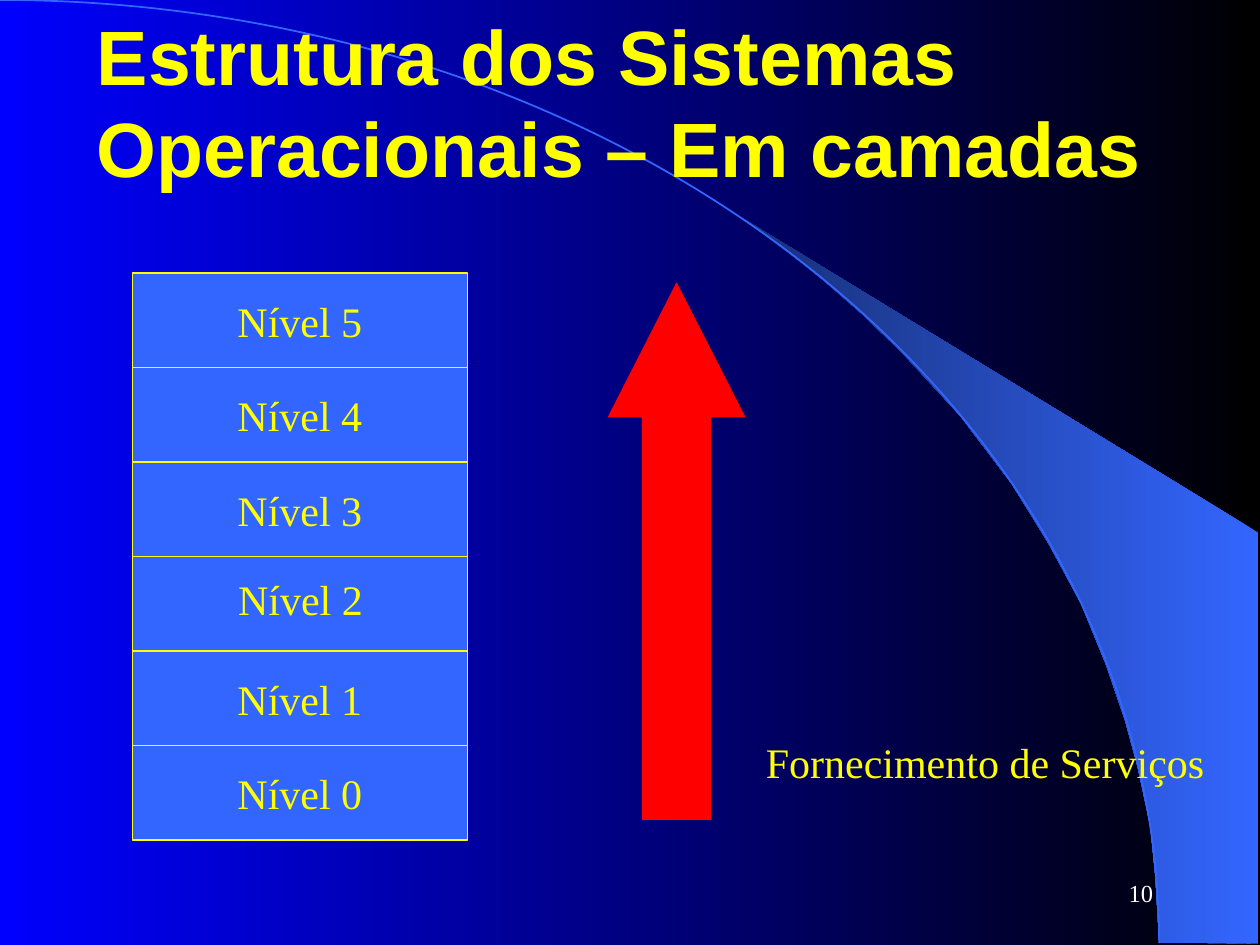
from pptx import Presentation
from pptx.dml.color import RGBColor
from pptx.enum.shapes import MSO_SHAPE as Preset
from pptx.enum.text import MSO_ANCHOR as Anchor, PP_ALIGN as Align
from pptx.util import Inches, Pt

BLACK = RGBColor(0x00, 0x00, 0x00)
WHITE = RGBColor(0xFF, 0xFF, 0xFF)
BLUE = RGBColor(0x00, 0x00, 0xFF)
SKY = RGBColor(0x33, 0x66, 0xFF)
NAVY = RGBColor(0x17, 0x2F, 0x75)
YELLOW = RGBColor(0xFF, 0xFF, 0x00)
RED = RGBColor(0xFF, 0x00, 0x00)

SWOOSH = [(9.2, 7.48), (9.99, 7.49), (9.99, 4.23), (5.89, 1.73), (6.24, 1.99),
          (6.53, 2.22), (6.85, 2.5), (7.16, 2.8), (7.62, 3.3), (8.03, 3.84),
          (8.32, 4.31), (8.58, 4.79), (8.78, 5.28), (8.93, 5.72), (9.03, 6.09),
          (9.13, 6.56), (9.17, 6.96)]
COLUMNS = 10
ROWS = 10


class SlideBuilder:
    font_name = "Times New Roman"
    font_size = 24

    def __init__(self, presentation):
        self.column = presentation.slide_width / COLUMNS
        self.row = presentation.slide_height / ROWS
        self.slide = presentation.slides.add_slide(presentation.slide_layouts[6])

    def box(self, left, top, width, height):
        return (round(left * self.column), round(top * self.row),
                round(width * self.column), round(height * self.row))

    def gradient(self, fill, *colors):
        fill.gradient()
        fill.gradient_angle = 180
        for stop, color in zip(fill.gradient_stops, colors):
            stop.color.rgb = color

    def background(self, *colors):
        self.gradient(self.slide.background.fill, *colors)

    def swoosh(self, points, *colors):
        corners = [(Inches(x), Inches(y)) for x, y in points]
        builder = self.slide.shapes.build_freeform(*corners[0])
        builder.add_line_segments(corners[1:], close=True)
        shape = builder.convert_to_shape()
        shape.shadow.inherit = False
        self.gradient(shape.fill, *colors)
        shape.line.fill.background()

    def preset(self, kind, area, fill, line, line_width=0.75):
        shape = self.slide.shapes.add_shape(kind, *self.box(*area))
        shape.shadow.inherit = False
        if fill is None:
            shape.fill.background()
        else:
            shape.fill.solid()
            shape.fill.fore_color.rgb = fill
        shape.line.color.rgb = line
        shape.line.width = Pt(line_width)
        return shape

    def label(self, shape, text, align=Align.LEFT, anchor=Anchor.TOP, wrap=True,
              size=font_size, name=font_name, color=YELLOW, bold=False):
        frame = shape.text_frame
        frame.word_wrap = wrap
        frame.vertical_anchor = anchor
        paragraph = frame.paragraphs[0]
        paragraph.alignment = align
        run = paragraph.add_run()
        run.text = text
        run.font.name = name
        run.font.size = Pt(size)
        run.font.bold = bold
        run.font.color.rgb = color

    def text(self, area, text, **style):
        self.label(self.slide.shapes.add_textbox(*self.box(*area)), text, **style)


def main():
    presentation = Presentation()
    presentation.slide_width = Inches(10)
    presentation.slide_height = Inches(7.5)
    builder = SlideBuilder(presentation)

    builder.background(BLACK, BLUE)
    builder.swoosh(SWOOSH, SKY, NAVY)
    builder.preset(Preset.ARC, (-9.2, 0, 18.4, 19.96), None, SKY, 1)
    builder.text((0.67, 0.23, 9, 1.67), "Estrutura dos Sistemas Operacionais – Em camadas",
                 anchor=Anchor.MIDDLE, size=44, name="Arial", bold=True)

    for row, level in enumerate(range(5, -1, -1)):
        layer = builder.preset(Preset.RECTANGLE, (1.05, 2.89 + row, 2.66, 1), SKY, YELLOW)
        caption = f"Nível {level}"
        if level == 2:
            builder.text((1.68, 6, 1.41, 0.67), caption, align=Align.CENTER)
        else:
            builder.label(layer, caption, Align.CENTER, Anchor.MIDDLE, wrap=False)

    arrow = builder.preset(Preset.UP_ARROW, (4.83, 3, 1.08, 5.67), RED, RED)
    arrow.adjustments[0] = 0.5
    arrow.adjustments[1] = 0.98
    builder.text((5.98, 7.73, 3.68, 0.67), "Fornecimento de Serviços", wrap=False)
    builder.text((7.17, 9.11, 2.08, 0.67), "10", align=Align.RIGHT,
                 anchor=Anchor.MIDDLE, size=14, color=WHITE)

    presentation.save("out.pptx")


if __name__ == "__main__":
    main()
